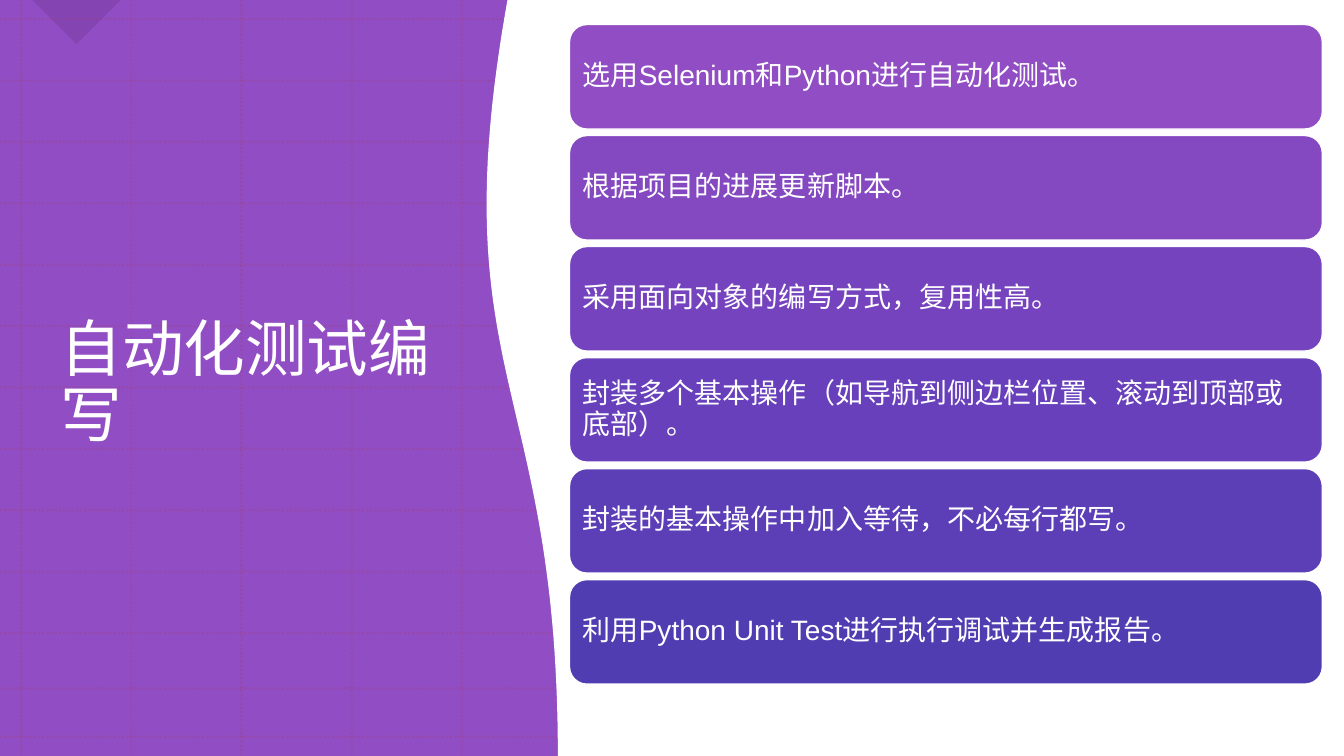
from lxml.etree import SubElement
from pptx import Presentation
from pptx.dml.color import RGBColor
from pptx.enum.dml import MSO_LINE
from pptx.enum.shapes import MSO_CONNECTOR, MSO_SHAPE
from pptx.enum.text import MSO_ANCHOR, MSO_AUTO_SIZE, PP_ALIGN
from pptx.oxml.ns import qn
from pptx.util import Pt

WIDE, HIGH = 960, 540
COLORS = {
    "panel": "914DC3",
    "grid": "B13B4F",
    "corner": "492266",
    "white": "FFFFFF",
}
CARDS = [
    ("选用Selenium和Python进行自动化测试。", "914DC3"),
    ("根据项目的进展更新脚本。", "8448C1"),
    ("采用面向对象的编写方式，复用性高。", "7643BF"),
    ("封装多个基本操作（如导航到侧边栏位置、滚动到顶部或底部）。", "6940BC"),
    ("封装的基本操作中加入等待，不必每行都写。", "5C3FB7"),
    ("利用Python Unit Test进行执行调试并生成报告。", "503DB2"),
]


def paint(fill, color):
    fill.solid()
    fill.fore_color.rgb = RGBColor.from_string(color)


def fade(part, percent):
    for color in part._element.spPr.iter(qn("a:srgbClr")):
        SubElement(color, qn("a:alpha"), val=str(percent * 1000))


def edge(shape):
    shape.shadow.inherit = False
    shape.line.width = Pt(1)
    paint(shape.line.fill, COLORS["white"])


def write(frame, text, font, size):
    frame.word_wrap = True
    frame.auto_size = MSO_AUTO_SIZE.NONE
    frame.vertical_anchor = MSO_ANCHOR.MIDDLE
    line = frame.paragraphs[0]
    line.text = text
    line.alignment = PP_ALIGN.LEFT
    line.line_spacing = 0.9
    line.font.name = font
    line.font.size = Pt(size)
    line.font.color.rgb = RGBColor.from_string(COLORS["white"])


def add_corner(slide, left, top, side):
    shape = slide.shapes.add_shape(
        MSO_SHAPE.RIGHT_TRIANGLE, Pt(left), Pt(top), Pt(side), Pt(side))
    shape.rotation = 315
    shape.shadow.inherit = False
    shape.line.fill.background()
    paint(shape.fill, COLORS["corner"])
    fade(shape, 17)


def add_grid(slide, left, top, width, height):
    right, base = left + width, top + height
    cols = [left + 15.1 + 78.7 * i for i in range(5)]
    rows = [top + 13.7 + 43.85 * i for i in range(11)] + [top + 491.8, top + 526.3]
    ends = [(x, top, x, base) for x in cols] + [(left, y, right, y) for y in rows]
    for points in ends:
        line = slide.shapes.add_connector(MSO_CONNECTOR.STRAIGHT, *map(Pt, points))
        line.line.width = Pt(1.5)
        paint(line.line.fill, COLORS["grid"])
        line.line.dash_style = MSO_LINE.ROUND_DOT
        SubElement(line._element.spPr, qn("a:effectLst"))
        fade(line, 20)


def add_title(slide, left, top, width, height):
    title = slide.shapes.title
    title.left, title.top = Pt(left), Pt(top)
    title.width, title.height = Pt(width), Pt(height)
    write(title.text_frame, "自动化测试编写", "Calibri", 44)
    title._element.getparent().append(title._element)


def add_wave(slide, left, top, width, height):
    knots = [(36, 0), (-12.2, 0.499), (72, 0.501), (72, 1)]

    def curve(t):
        parts = [(1 - t) ** 3, 3 * t * (1 - t) ** 2, 3 * t * t * (1 - t), t ** 3]
        x = sum(p * knot[0] for p, knot in zip(parts, knots))
        y = sum(p * knot[1] for p, knot in zip(parts, knots))
        return Pt(left + x), Pt(top + y * height)

    right = Pt(left + width)
    outline = slide.shapes.build_freeform(right, Pt(top))
    points = [curve(i / 60) for i in range(61)]
    outline.add_line_segments(points + [(right, Pt(top + height))], close=True)
    shape = outline.convert_to_shape()
    edge(shape)
    paint(shape.fill, COLORS["white"])


def add_cards(slide, left, top, width, height):
    step = height / len(CARDS)
    for i, (text, color) in enumerate(CARDS):
        card = slide.shapes.add_shape(
            MSO_SHAPE.ROUNDED_RECTANGLE,
            Pt(left), Pt(top + i * step), Pt(width), Pt(step - 4.6))
        edge(card)
        paint(card.fill, color)
        frame = card.text_frame
        frame.margin_left = frame.margin_right = Pt(5.8)
        frame.margin_top = frame.margin_bottom = Pt(5.8)
        write(frame, text, "Arial", 20)


def main():
    deck = Presentation()
    deck.slide_width, deck.slide_height = Pt(WIDE), Pt(HIGH)
    slide = deck.slides.add_slide(deck.slide_layouts[5])
    paint(slide.background.fill, COLORS["panel"])
    add_corner(slide, 32.4, -22.3, 44.6)
    add_grid(slide, 0, 0, WIDE, HIGH)
    add_title(slide, 36, 56.9, 293.8, 435.6)
    add_wave(slide, 327, 0, WIDE - 327, HIGH)
    add_cards(slide, 406.8, 17.5, 537.8, 475.8)
    deck.save("out.pptx")


if __name__ == "__main__":
    main()
